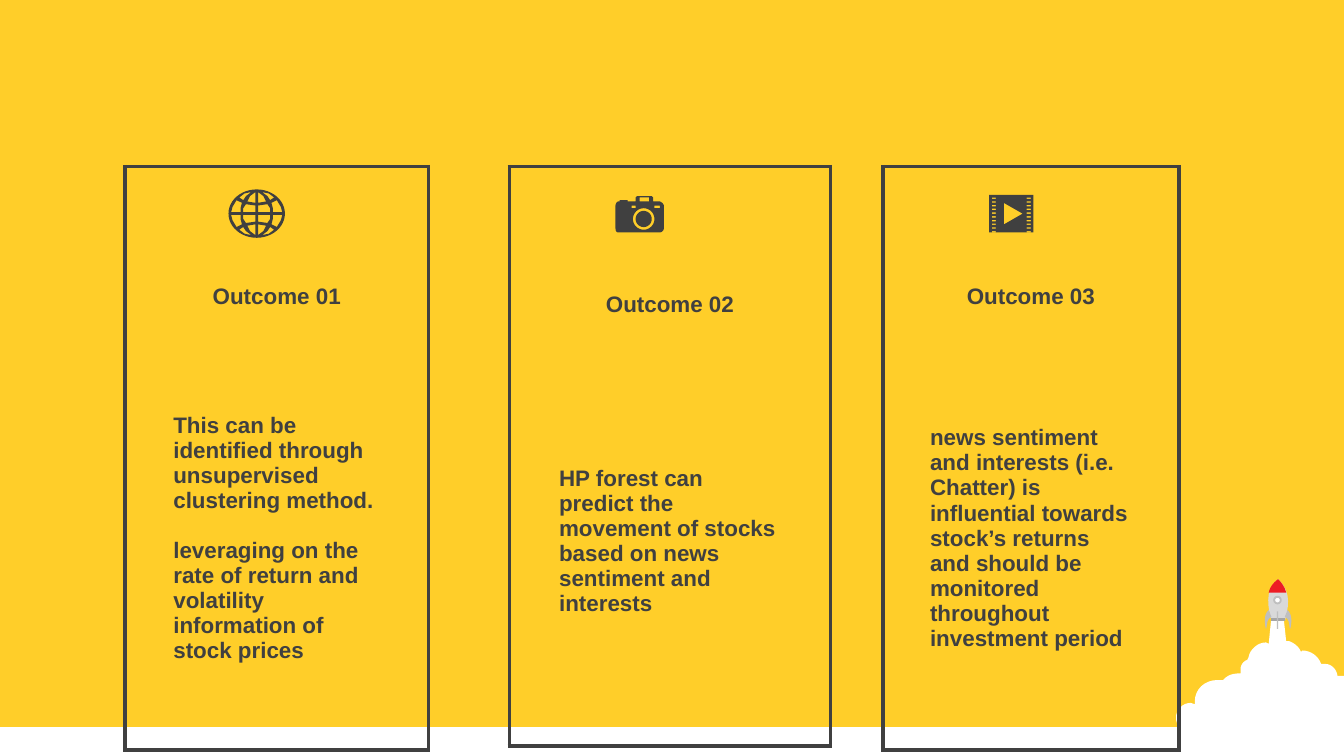
from dataclasses import dataclass
from math import cos, pi, sin

from lxml import etree
from pptx import Presentation
from pptx.dml.color import RGBColor
from pptx.enum.shapes import MSO_SHAPE
from pptx.enum.text import MSO_ANCHOR, PP_ALIGN
from pptx.oxml.ns import qn
from pptx.util import Inches, Pt

RECTANGLE, OVAL = MSO_SHAPE.RECTANGLE, MSO_SHAPE.OVAL
MIDDLE, CENTER, LEFT = MSO_ANCHOR.MIDDLE, PP_ALIGN.CENTER, PP_ALIGN.LEFT
WIDTH = 10  # grid: one module is a tenth of the slide's width
HEIGHT = WIDTH * 9 / 16
CARD_TOP = 1.24


@dataclass(frozen=True)
class Theme:
    yellow: str = "FFCE29"
    white: str = "FFFFFF"
    ink: str = "404040"
    hull: str = "D9D9D9"
    base: str = "A6A6A6"
    fin: str = "BFBFBF"
    nose: str = "ED1C24"
    font: str = "Arial"
    text_size: float = 12
    paragraph_gap: float = 13.4
    border: float = 2.25


THEME = Theme()


@dataclass(frozen=True)
class Card:
    left: float
    columns: tuple
    rows: tuple
    title: str
    body: tuple


OUTER_ROWS = (0.74, 0.45, 0.18, 2.34, 0.22)
CARDS = (
    Card(0.93, (0.26, 1.74, 0.26), OUTER_ROWS, "Outcome 01",
         ("This can be identified through unsupervised clustering method.",
          "leveraging on the rate of return and volatility information of stock prices")),
    Card(3.79, (0.27, 1.85, 0.27), (0.79, 0.47, 0.19, 2.24, 0.23), "Outcome 02",
         ("HP forest can predict the movement of stocks based on news sentiment and interests",)),
    Card(6.57, (0.25, 1.7, 0.25), OUTER_ROWS, "Outcome 03",
         ("news sentiment and interests (i.e. Chatter) is influential towards stock’s returns "
          "and should be monitored throughout investment period",)),
)


# Outlines
def trace(*steps):
    """Turn points (x, y) and cubic curves (six numbers) into a polygon."""
    points = [steps[0]]
    for step in steps[1:]:
        if len(step) == 2:
            points.append(step)
            continue
        x0, y0 = points[-1]
        x1, y1, x2, y2, x3, y3 = step
        for t in (n / 8 for n in range(1, 9)):
            a, b, c, d = (1 - t) ** 3, 3 * t * (1 - t) ** 2, 3 * t * t * (1 - t), t ** 3
            points.append((a * x0 + b * x1 + c * x2 + d * x3,
                           a * y0 + b * y1 + c * y2 + d * y3))
    return points


def ring(x, y, radius_x, radius_y):
    angles = (2 * pi * n / 48 for n in range(48))
    return [(x + radius_x * cos(a), y + radius_y * sin(a)) for a in angles]


def block(x, y, width, height):
    return [(x, y), (x + width, y), (x + width, y + height), (x, y + height)]


# Shapes
def paint(shape, color):
    shape.shadow.inherit = False
    shape.fill.solid()
    shape.fill.fore_color.rgb = RGBColor.from_string(color)
    shape.line.fill.background()
    return shape


def add_preset(page, kind, box, color):
    return paint(page.shapes.add_shape(kind, *map(Inches, box)), color)


def add_outline(page, color, *contours):
    """Draw one shape; contours inside the first one become holes."""
    builder = None
    for contour in contours:
        start, *rest = [(Inches(x), Inches(y)) for x, y in contour]
        if builder is None:
            builder = page.shapes.build_freeform(*start)
        else:
            builder.move_to(*start)
        builder.add_line_segments(rest, close=True)
    return paint(builder.convert_to_shape(), color)


# Cards
def set_borders(cell, visible):
    properties = cell._tc.get_or_add_tcPr()
    for side in "LRTB":
        line = etree.SubElement(properties, qn(f"a:ln{side}"), w=str(Pt(THEME.border)))
        if side in visible:
            fill = etree.SubElement(line, qn("a:solidFill"))
            etree.SubElement(fill, qn("a:srgbClr"), val=THEME.ink)
        else:
            etree.SubElement(line, qn("a:noFill"))


def write(cell, texts, alignment):
    cell.vertical_anchor = MIDDLE
    frame = cell.text_frame
    for index, text in enumerate(texts):
        para = frame.add_paragraph() if index else frame.paragraphs[0]
        para.text = text
        para.alignment = alignment
        para.space_before = Pt(THEME.paragraph_gap if index else 0)
        font = para.font
        font.name, font.size, font.bold = THEME.font, Pt(THEME.text_size), True
        font.color.rgb = RGBColor.from_string(THEME.ink)


def add_card(page, card):
    row_count, column_count = len(card.rows), len(card.columns)
    box = (card.left, CARD_TOP, sum(card.columns), sum(card.rows))
    table = page.shapes.add_table(row_count, column_count, *map(Inches, box)).table
    table.first_row = table.horz_banding = False
    for column, width in zip(table.columns, card.columns):
        column.width = Inches(width)
    for row, height in zip(table.rows, card.rows):
        row.height = Inches(height)
    for r in range(row_count):
        for c in range(column_count):
            edges = {"L": c == 0, "R": c == column_count - 1,
                     "T": r == 0, "B": r == row_count - 1}
            cell = table.cell(r, c)
            set_borders(cell, [side for side, on in edges.items() if on])
            cell.fill.background()
    write(table.cell(1, 1), [card.title], CENTER)
    write(table.cell(3, 1), card.body, LEFT)


# Icons
def add_globe(page):
    x, y = 1.91, 1.59
    quarter = (
        ((0.01, 0.01), (0.1, 0.01), (0.1, 0.04), (0.08, 0.07), (0.01, 0.06)),
        ((0.01, 0.08), (0.01, 0.16), (0.05, 0.13), (0.07, 0.09)),
        ((0.12, 0.01), (0.19, 0.01), (0.18, 0.05), (0.15, 0.1), (0.11, 0.08), (0.12, 0.04)),
        ((0.1, 0.1), (0.08, 0.13), (0.04, 0.16), (0.09, 0.15), (0.13, 0.12)),
    )
    holes = [[(x + sx * dx, y + sy * dy) for dx, dy in cell]
             for sx in (-1, 1) for sy in (-1, 1) for cell in quarter]
    add_outline(page, THEME.ink, ring(x, y, 0.21, 0.18), *holes)


def add_camera(page):
    body = trace((4.74, 1.46), (4.85, 1.46), (4.86, 1.47), (4.86, 1.5), (4.91, 1.5),
                 (4.92, 1.5, 4.94, 1.52, 4.94, 1.53), (4.94, 1.7),
                 (4.94, 1.72, 4.92, 1.73, 4.91, 1.73), (4.6, 1.73),
                 (4.59, 1.73, 4.58, 1.72, 4.58, 1.7), (4.58, 1.53),
                 (4.58, 1.52, 4.59, 1.5, 4.6, 1.5), (4.61, 1.5), (4.61, 1.49),
                 (4.67, 1.49), (4.67, 1.5), (4.73, 1.5), (4.73, 1.47))
    lens = [ring(4.79, 1.63, radius, radius) for radius in (0.08, 0.06)]
    windows = [block(4.7, 1.53, 0.03, 0.02), block(4.87, 1.53, 0.04, 0.02),
               block(4.76, 1.47, 0.07, 0.03)]
    add_outline(page, THEME.ink, body, *lens, *windows)


def add_film(page):
    perforations = [block(x, 1.47 + 0.25 * n / 9, 0.03, 0.01)
                    for x in (7.38, 7.64) for n in range(10)]
    add_outline(page, THEME.ink, block(7.36, 1.45, 0.33, 0.28),
                [(7.47, 1.51), (7.47, 1.67), (7.61, 1.59)], *perforations)


# Rocket and its smoke
def add_rocket(page):
    add_outline(page, THEME.white, trace(
        (9.46, 4.59), (9.55, 4.59), (9.57, 4.77), (9.59, 4.77),
        (9.62, 4.78, 9.65, 4.8, 9.67, 4.83), (9.68, 4.85), (9.69, 4.84),
        (9.75, 4.84, 9.81, 4.88, 9.83, 4.94), (9.86, 4.94),
        (9.9, 4.94, 9.94, 4.97, 9.95, 5.02), (9.95, 5.03), (10, 5.03), (10, 5.6),
        (9.34, 5.61), (9.23, 5.61, 9.17, 5.56, 9.13, 5.51),
        (9.04, 5.55, 8.94, 5.52, 8.93, 5.45), (8.92, 5.44), (8.86, 5.45),
        (8.8, 5.45, 8.75, 5.4, 8.75, 5.34), (8.75, 5.28, 8.8, 5.23, 8.86, 5.23),
        (8.89, 5.24), (8.89, 5.22), (8.89, 5.13, 8.96, 5.06, 9.06, 5.06),
        (9.1, 5.06), (9.11, 5.05), (9.14, 5.02, 9.18, 5.01, 9.23, 5.01), (9.23, 4.98),
        (9.23, 4.95, 9.25, 4.92, 9.28, 4.91), (9.29, 4.89),
        (9.3, 4.83, 9.36, 4.78, 9.42, 4.78), (9.44, 4.79)))
    add_outline(page, THEME.hull, trace(
        (9.46, 4.62), (9.44, 4.53, 9.4, 4.4, 9.51, 4.31),
        (9.62, 4.41, 9.58, 4.54, 9.56, 4.62)))
    add_outline(page, THEME.base, block(9.46, 4.6, 0.1, 0.02))
    add_outline(page, THEME.nose, trace(
        (9.51, 4.31), (9.54, 4.34, 9.56, 4.37, 9.57, 4.41), (9.44, 4.41),
        (9.45, 4.37, 9.47, 4.34, 9.51, 4.31)))
    porthole = add_preset(page, OVAL, (9.48, 4.44, 0.05, 0.05), THEME.white)
    porthole.line.color.rgb = RGBColor.from_string(THEME.fin)
    porthole.line.width = Pt(1)
    add_preset(page, RECTANGLE, (9.5, 4.55, 0.01, 0.13), THEME.fin)
    fin = trace((9.44, 4.54), (9.46, 4.59), (9.42, 4.61, 9.43, 4.66, 9.42, 4.68),
                (9.41, 4.65, 9.4, 4.57, 9.44, 4.54))
    add_outline(page, THEME.fin, fin)
    add_outline(page, THEME.fin, [(2 * 9.51 - x, y) for x, y in fin])


def main():
    deck = Presentation()
    deck.slide_width, deck.slide_height = Inches(WIDTH), Inches(HEIGHT)
    page = deck.slides.add_slide(deck.slide_layouts[6])
    page.background.fill.solid()
    page.background.fill.fore_color.rgb = RGBColor.from_string(THEME.yellow)
    add_preset(page, RECTANGLE, (0, 5.41, WIDTH, 0.24), THEME.white)
    add_rocket(page)
    for card in CARDS:
        add_card(page, card)
    for add_icon in (add_globe, add_film, add_camera):
        add_icon(page)
    deck.save("out.pptx")


if __name__ == "__main__":
    main()
